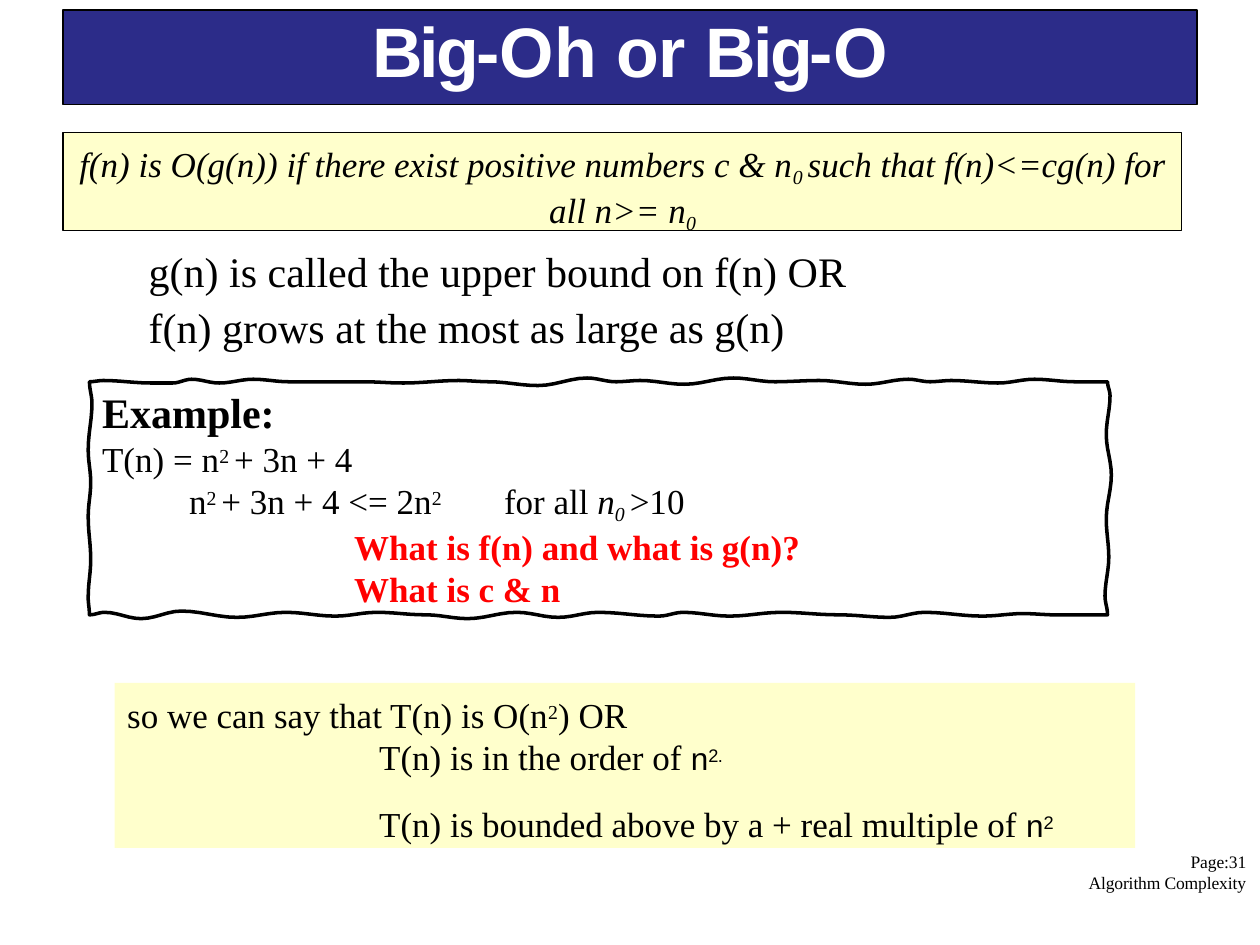
from math import cos, pi

from lxml import etree
from pptx import Presentation
from pptx.dml.color import RGBColor
from pptx.enum.shapes import MSO_SHAPE
from pptx.enum.text import MSO_ANCHOR, PP_ALIGN
from pptx.oxml.ns import qn
from pptx.util import Inches, Pt

NAVY, CREAM, BLACK, WHITE, RED = "2C2C89", "FFFFCC", "000000", "FFFFFF", "FF0000"

# Run formats: base is the baseline shift in percent, spc the letter spacing in points
SERIF = {"name": "Times New Roman", "size": 20, "color": BLACK}
LARGE = {**SERIF, "size": 24}
SMALL = {**SERIF, "size": 10}
ITALIC = {**SERIF, "italic": True}
SUB = {**ITALIC, "size": 19.5, "base": -21}
SUP = {**SERIF, "size": 19.5, "base": 26}
QUESTION = {**SERIF, "color": RED, "bold": True}
SANS = {**SERIF, "name": "Arial", "size": 18}
SANS_SUP = {**SANS, "base": 25, "spc": -0.4}
HEADING = {"name": "Arial", "size": 40, "bold": True, "color": WHITE}
TIGHT = {**HEADING, "spc": -1.6}

# Paragraphs: (layout, runs); left, first and tab are in inches
TITLE = [({"align": PP_ALIGN.CENTER, "line": Pt(46.8)},
          [("Big-", TIGHT), ("Oh or ", HEADING), ("Big-", TIGHT), ("O", HEADING)])]

DEFINITION = [
    ({"align": PP_ALIGN.CENTER},
     [("f(n) is O(g(n)) if there exist positive numbers c & n", ITALIC), ("0 ", SUB),
      ("such that f(n)<=cg(n) for", ITALIC)]),
    ({"align": PP_ALIGN.CENTER}, [("all n>= n", ITALIC), ("0", SUB)]),
]

EXAMPLE = [
    ({"left": 0.44, "line": 1.1},
     [("g(n) is called the upper bound on f(n) OR "
       "f(n) grows at the most as large as g(n)", LARGE)]),
    ({"left": 0.07, "before": 20.1}, [("Example:", {**LARGE, "bold": True})]),
    ({"left": 0.07}, [("T(n) = n", SERIF), ("2 ", SUP), ("+ 3n + 4", SERIF)]),
    ({"left": 0.76, "tab": 3.03},
     [("n", SERIF), ("2 ", SUP), ("+ 3n + 4 <= 2n", SERIF), ("2\t", SUP),
      ("for all ", SERIF), ("n", ITALIC), ("0 ", SUB), (">10", SERIF)]),
    ({"left": 2.07}, [("What is f(n) and what is g(n)?", QUESTION)]),
    ({"left": 2.07}, [("What is c & n", QUESTION)]),
]

FOOTER = [({"left": 8.22, "first": 0.81, "line": Pt(12)},
           [("Page:31 Algorithm Complexity", {**SMALL, "spc": -0.05})])]

CONCLUSION = [
    ({"left": 0.1}, [("so we can say that T(n) is O(n", SERIF), ("2", SUP), (") OR", SERIF)]),
    ({"left": 2.1}, [("T(n) is in the order of ", SERIF), ("n", SANS), ("2.", SANS_SUP)]),
    ({"left": 2.1, "before": 14.4},
     [("T(n) is bounded above by a + real multiple of ", SERIF), ("n", SANS),
      ("2", SANS_SUP)]),
]

# Crests and troughs of the wavy frame, clockwise from the top left corner
FRAME_TOP = [
    (0.71, 3.03), (0.82, 3.02), (1.2, 3.04), (1.37, 3.04), (1.52, 3.01), (1.74, 3.04),
    (2.01, 3.01), (2.29, 3.03), (2.88, 3.03), (3.2, 3.04), (3.64, 3.02), (3.88, 3.03),
    (4.27, 3.06), (4.66, 3), (4.89, 3.03), (5.08, 3.02), (5.43, 3.05), (5.82, 3),
    (6.15, 3.03), (6.5, 3.02), (6.87, 3.05), (7.21, 3.01), (7.38, 3.03), (7.55, 3.02),
    (7.92, 3.04), (8.21, 3.01), (8.53, 3.03), (8.79, 3.03)]
FRAME_RIGHT = [(8.81, 3.14), (8.78, 3.45), (8.82, 3.77), (8.78, 4.12), (8.8, 4.42),
               (8.77, 4.73), (8.79, 4.88)]
FRAME_BOTTOM = [
    (8.38, 4.88), (8.12, 4.87), (7.8, 4.89), (7.34, 4.86), (7.06, 4.9), (6.66, 4.88),
    (6.2, 4.86), (5.79, 4.89), (5.42, 4.86), (5.23, 4.89), (4.75, 4.86), (4.43, 4.9),
    (4.1, 4.86), (3.71, 4.91), (3.38, 4.88), (2.99, 4.86), (2.66, 4.89), (2.27, 4.86),
    (1.88, 4.9), (1.44, 4.85), (1.12, 4.91), (0.83, 4.86), (0.71, 4.88)]
FRAME_LEFT = [(0.7, 4.74), (0.72, 4.44), (0.7, 4.1), (0.72, 3.83), (0.7, 3.57),
              (0.73, 3.2), (0.71, 3.03)]
STEPS = 6


def rgb(value):
    return RGBColor.from_string(value)


def fill_text(frame, paragraphs, top=0):
    frame.word_wrap = True
    frame.vertical_anchor = MSO_ANCHOR.TOP
    for side, inset in {"left": 0, "right": 0, "bottom": 0, "top": top}.items():
        setattr(frame, f"margin_{side}", Inches(inset))
    for index, (layout, runs) in enumerate(paragraphs):
        paragraph = frame.paragraphs[0] if index == 0 else frame.add_paragraph()
        props = paragraph._p.get_or_add_pPr()
        props.set("marL", str(Inches(layout.get("left", 0))))
        props.set("indent", str(Inches(layout.get("first", 0))))
        if "tab" in layout:
            tabs = etree.SubElement(props, qn("a:tabLst"))
            etree.SubElement(tabs, qn("a:tab"), pos=str(Inches(layout["tab"])), algn="l")
        paragraph.alignment = layout.get("align", PP_ALIGN.LEFT)
        if "line" in layout:
            paragraph.line_spacing = layout["line"]
        if "before" in layout:
            paragraph.space_before = Pt(layout["before"])
        for text, look in runs:
            add_run(paragraph, text, look)


def add_run(paragraph, text, look):
    run = paragraph.add_run()
    run.text = text
    for key, value in look.items():
        if key == "color":
            run.font.color.rgb = rgb(value)
        elif key == "base":
            run._r.get_or_add_rPr().set("baseline", str(value * 1000))
        elif key == "spc":
            run._r.get_or_add_rPr().set("spc", str(round(value * 100)))
        else:
            setattr(run.font, key, Pt(value) if key == "size" else value)


def add_panel(slide, box, color, paragraphs, top=0, outlined=True):
    panel = slide.shapes.add_shape(MSO_SHAPE.RECTANGLE, *map(Inches, box))
    panel.shadow.inherit = False
    panel.fill.solid()
    panel.fill.fore_color.rgb = rgb(color)
    if outlined:
        panel.line.color.rgb = rgb(BLACK)
        panel.line.width = Pt(0.75)
    else:
        panel.line.fill.background()
    fill_text(panel.text_frame, paragraphs, top)


def add_words(slide, box, paragraphs, top):
    words = slide.shapes.add_textbox(*map(Inches, box))
    fill_text(words.text_frame, paragraphs, top)


def add_wavy_frame(slide):
    turns = FRAME_TOP + FRAME_RIGHT + FRAME_BOTTOM + FRAME_LEFT
    top_count, right_count = len(FRAME_TOP), len(FRAME_RIGHT)
    bottom_end = top_count + right_count + len(FRAME_BOTTOM)
    points = []
    for index, ((x0, y0), (x1, y1)) in enumerate(zip(turns, turns[1:]), 1):
        horizontal = index < top_count or top_count + right_count <= index < bottom_end
        for step in range(1, STEPS + 1):
            along = step / STEPS
            eased = (1 - cos(pi * along)) / 2
            across, down = (along, eased) if horizontal else (eased, along)
            points.append((Inches(x0 + (x1 - x0) * across), Inches(y0 + (y1 - y0) * down)))
    builder = slide.shapes.build_freeform(*map(Inches, turns[0]))
    builder.add_line_segments(points, close=True)
    frame = builder.convert_to_shape()
    frame.shadow.inherit = False
    frame.fill.background()
    frame.line.color.rgb = rgb(BLACK)
    frame.line.width = Pt(2)


def main():
    deck = Presentation()
    deck.slide_width, deck.slide_height = Inches(10), Inches(7.5)
    slide = deck.slides.add_slide(deck.slide_layouts[6])

    # Title and definition
    add_panel(slide, (0.5, 0.08, 9, 0.75), NAVY, TITLE)
    add_panel(slide, (0.5, 1.05, 8.88, 0.78), CREAM, DEFINITION, top=0.08)

    # Upper bound and framed example
    add_wavy_frame(slide)
    add_words(slide, (0.74, 1.89, 6.05, 2.92), EXAMPLE, top=0.02)

    # Footer and conclusion
    add_words(slide, (0.42, 6.1, 9.54, 1.33), FOOTER, top=0.98)
    add_panel(slide, (0.91, 5.42, 8.1, 1.31), CREAM, CONCLUSION, top=0.08, outlined=False)

    deck.save("out.pptx")


if __name__ == "__main__":
    main()
